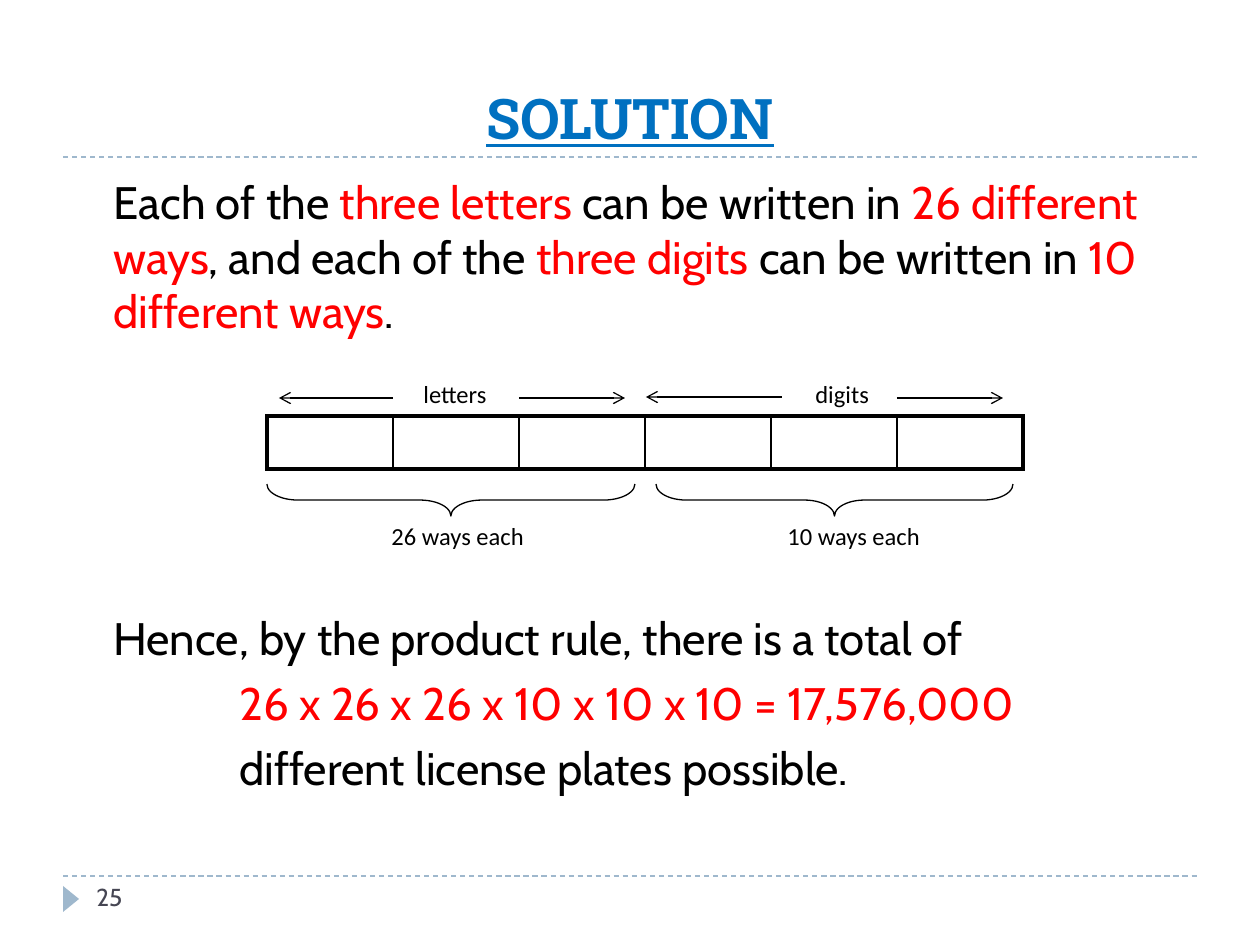
from dataclasses import dataclass

from lxml.etree import SubElement
from pptx import Presentation
from pptx.dml.color import RGBColor
from pptx.enum.dml import MSO_LINE
from pptx.enum.shapes import MSO_CONNECTOR, MSO_SHAPE
from pptx.enum.text import MSO_ANCHOR, PP_ALIGN
from pptx.oxml.ns import qn
from pptx.util import Emu, Pt


@dataclass(frozen=True)
class Theme:
    title: str = "0070C0"
    text: str = "000000"
    accent: str = "FF0000"
    rule: str = "9FB8CD"
    number: str = "464653"
    title_font: str = "Roboto Slab"
    body_font: str = "Cabin"
    label_font: str = "Calibri"
    title_size: int = 32
    body_size: int = 26
    label_size: int = 14
    thin: float = 0.75
    inner: float = 1
    outer: float = 2.25


T = Theme()


def px(n):
    return Emu(round(n * 914400 / 126))


def rgb(value):
    return RGBColor.from_string(value)


def add_text(s, box, paragraphs, font=T.body_font, size=T.body_size, color=T.text,
             bold=False, underline=False, align=PP_ALIGN.LEFT,
             anchor=MSO_ANCHOR.TOP, gap=0, indents=()):
    """Each paragraph is a string or a list of strings and (string, colour) pairs."""
    sp = s.shapes.add_textbox(*map(px, box))
    tf = sp.text_frame
    tf.word_wrap = True
    tf.vertical_anchor = anchor
    for i, parts in enumerate(paragraphs):
        p = tf.paragraphs[0] if i == 0 else tf.add_paragraph()
        p.alignment = align
        if i:
            p.space_before = Pt(gap)
        if i < len(indents):
            p._p.get_or_add_pPr().set("marL", str(px(indents[i])))
        for part in [parts] if isinstance(parts, str) else parts:
            text, tint = (part, color) if isinstance(part, str) else part
            r = p.add_run()
            r.text = text
            f = r.font
            f.name, f.size, f.bold, f.underline = font, Pt(size), bold, underline
            f.color.rgb = rgb(tint)
    return sp


def add_line(s, x1, y1, x2, y2, color=T.text, dash=None, arrow=False):
    c = s.shapes.add_connector(MSO_CONNECTOR.STRAIGHT, *map(px, (x1, y1, x2, y2)))
    c.line.color.rgb = rgb(color)
    c.line.width = Pt(T.thin)
    if dash:
        c.line.dash_style = dash
    if arrow:
        SubElement(c.line._get_or_add_ln(), qn("a:tailEnd"), type="arrow")
    SubElement(c._element.spPr, qn("a:effectLst"))


def add_rotated(s, kind, box, angle):
    """Add a quarter-turned shape that covers the given box once turned."""
    x, y, w, h = box
    sp = s.shapes.add_shape(
        kind, *map(px, (x + (w - h) / 2, y + (h - w) / 2, h, w)))
    sp.rotation = angle
    sp.shadow.inherit = False
    return sp


def add_header(s, box):
    x, y, w, h = box
    add_line(s, x, y + h, x + w, y + h, T.rule, MSO_LINE.DASH)
    add_text(s, box, ["SOLUTION"], font=T.title_font, size=T.title_size,
             color=T.title, bold=True, underline=True,
             align=PP_ALIGN.CENTER, anchor=MSO_ANCHOR.BOTTOM)


def add_footer(s, box, number):
    x, y, w, h = box
    add_line(s, x, y, x + w, y, T.rule, MSO_LINE.DASH)
    marker = add_rotated(s, MSO_SHAPE.ISOSCELES_TRIANGLE, (x, y + 10, 16, 26), 90)
    marker.fill.solid()
    marker.fill.fore_color.rgb = rgb(T.rule)
    marker.line.fill.background()
    add_text(s, (x + 21, y, 273, h), [number], size=T.label_size, color=T.number)


def set_borders(cell, **widths):
    tc_pr = cell._tc.get_or_add_tcPr()
    for i, (side, width) in enumerate(widths.items()):
        ln = tc_pr.makeelement(qn(f"a:{side}"), {"w": str(Pt(width))})
        fill = SubElement(ln, qn("a:solidFill"))
        SubElement(fill, qn("a:srgbClr"), val=T.text)
        tc_pr.insert(i, ln)


def add_plate(s, box, count):
    """Draw the empty row of license plate positions."""
    x, y, w, h = box
    table = s.shapes.add_table(1, count, *map(px, box)).table
    table.first_row = table.horz_banding = False
    table.rows[0].height = px(h)
    for i in range(count):
        table.columns[i].width = px(w / count)
        cell = table.cell(0, i)
        cell.fill.background()
        set_borders(cell, lnL=T.inner if i else T.outer,
                    lnR=T.inner if i < count - 1 else T.outer,
                    lnT=T.outer, lnB=T.outer)


def add_half(s, box, name, name_x, ways, ways_x, left_arrow, brace_x, curve):
    """Annotate one half of the plate: arrows and name above, brace below."""
    x, y, w, h = box
    start, end, level = left_arrow
    add_line(s, x + start, y - level, x + end, y - level, arrow=True)
    add_line(s, x + 252, y - 18, x + w - 20, y - 18, arrow=True)
    add_text(s, (x + name_x, y - 43, 104, 36), [name],
             font=T.label_font, size=T.label_size)
    brace = add_rotated(s, MSO_SHAPE.LEFT_BRACE,
                        (x + brace_x, y + h + 15, w - 10 - brace_x, 32), 270)
    brace.adjustments[0] = curve
    brace.fill.background()
    brace.line.color.rgb = rgb(T.text)
    brace.line.width = Pt(T.thin)
    add_text(s, (x + ways_x, y + h + 46, 170, 36), [ways],
             font=T.label_font, size=T.label_size)


def add_diagram(s, box):
    x, y, w, h = box
    half = w // 2
    add_plate(s, box, 6)
    add_half(s, (x, y, half, h), "letters", 144, "26 ways each", 112,
             left_arrow=(126, 12, 18), brace_x=0, curve=0.97)
    add_half(s, (x + half, y, half, h), "digits", 158, "10 ways each", 130,
             left_arrow=(137, 1, 19), brace_x=11, curve=0.94)


def add_body(s, box):
    x, y, w, h = box
    add_text(s, (x, y, w, 180), [[
        "Each of the ", ("three letters", T.accent), " can be written in ",
        ("26 different ways", T.accent), ", and each of the ",
        ("three digits", T.accent), " can be written in ",
        ("10 different ways", T.accent), "."]])
    add_diagram(s, (x + 166, y + 248, 756, 53))
    add_text(s, (x, y + 436, w, 210), [
        "Hence, by the product rule, there is a total of",
        [("26 x 26 x 26 x 10 x 10 x 10 = 17,576,000", T.accent)],
        "different license plates possible."], gap=6, indents=(0, 126, 126))


def main():
    prs = Presentation()
    prs.slide_width, prs.slide_height = px(1260), px(945)
    s = prs.slides.add_slide(prs.slide_layouts[6])
    add_header(s, (63, 21, 1134, 136))
    add_body(s, (101, 168, 1096, 714))
    add_footer(s, (63, 876, 1134, 50), "25")
    prs.save("out.pptx")


if __name__ == "__main__":
    main()
